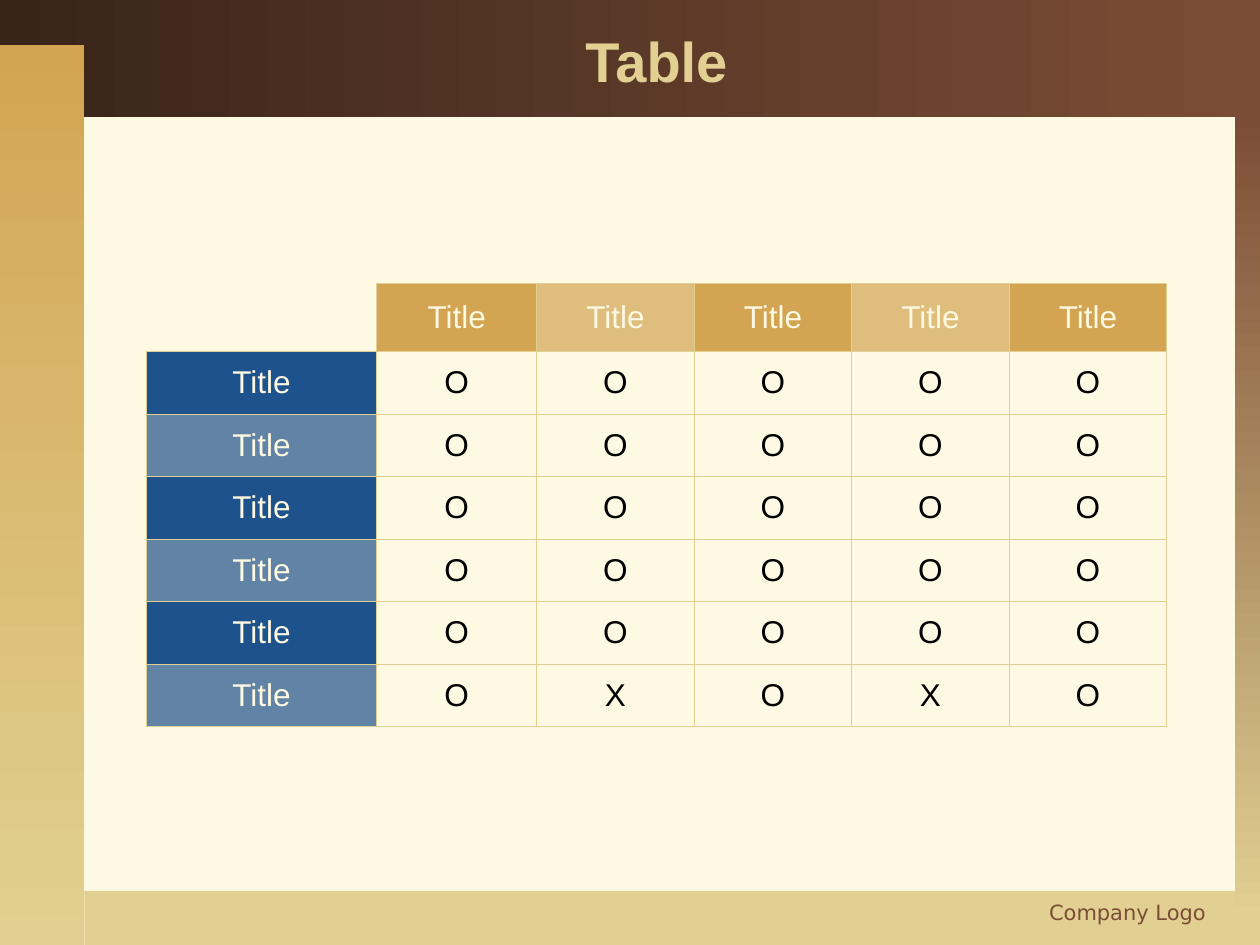
from dataclasses import dataclass

from lxml import etree
from pptx import Presentation
from pptx.dml.color import RGBColor
from pptx.enum.shapes import MSO_SHAPE
from pptx.enum.text import MSO_ANCHOR, PP_ALIGN
from pptx.oxml import parse_xml
from pptx.oxml.ns import nsdecls, qn
from pptx.util import Inches, Pt

RECTANGLE = MSO_SHAPE.RECTANGLE
MIDDLE = MSO_ANCHOR.MIDDLE
CENTER, RIGHT = PP_ALIGN.CENTER, PP_ALIGN.RIGHT


@dataclass(frozen=True)
class Theme:
    cream: str = "FEF9E2"
    sand: str = "E1D091"
    gold: str = "D3A553"
    blue: str = "1D528D"
    brown: str = "7C4D36"
    dark_brown: str = "392419"
    black: str = "000000"
    font: str = "Arial"
    footer_font: str = "DejaVu Sans"
    title_size: int = 32
    cell_size: int = 18
    footer_size: int = 12
    border_width: float = 0.45
    tint_percent: int = 70


theme = Theme()


def write(frame, text, size, color, font, align, bold=False):
    """Put one formatted run into the first paragraph of a text frame."""
    para = frame.paragraphs[0]
    para.alignment = align
    span = para.add_run()
    span.text = text
    span.font.size = Pt(size)
    span.font.name = font
    span.font.bold = bold
    span.font.color.rgb = RGBColor.from_string(color)
    return span


def add_borders(cell, visible_sides):
    """Draw the given sides of a cell and hide the others."""
    properties = cell._tc.get_or_add_tcPr()
    for position, side in enumerate("LRTB"):
        paint = "<a:noFill/>"
        if side in visible_sides:
            paint = f'<a:solidFill><a:srgbClr val="{theme.sand}"/></a:solidFill>'
        line = parse_xml(
            f'<a:ln{side} {nsdecls("a")} w="{Pt(theme.border_width)}">{paint}</a:ln{side}>'
        )
        properties.insert(position, line)


deck = Presentation()
deck.slide_width, deck.slide_height = Inches(10), Inches(7.5)
page = deck.slides.add_slide(deck.slide_layouts[5])
page.background.fill.solid()
page.background.fill.fore_color.rgb = RGBColor.from_string(theme.cream)

# Frame bands: left, top, width, height, start colour, end colour, angle
bands = [
    (0.67, 7.07, 9.33, 0.43, theme.sand, theme.sand, 0),
    (0, 0, 10, 0.93, theme.dark_brown, theme.brown, 0),
    (0, 0.36, 0.67, 7.14, theme.gold, theme.sand, 270),
    (9.8, 0.91, 0.2, 6.38, theme.brown, theme.sand, 270),
]
for left, top, width, height, start, end, angle in bands:
    band = page.shapes.add_shape(
        RECTANGLE, Inches(left), Inches(top), Inches(width), Inches(height)
    )
    band.shadow.inherit = False
    band.line.fill.background()
    if start == end:
        band.fill.solid()
        band.fill.fore_color.rgb = RGBColor.from_string(start)
    else:
        band.fill.gradient()
        band.fill.gradient_angle = angle
        for stop, color in zip(band.fill.gradient_stops, (start, end)):
            stop.color.rgb = RGBColor.from_string(color)

# Title, raised above the bands
title = page.shapes.title
title.element.getparent().append(title.element)
title.left, title.top = Inches(0.67), Inches(0.17)
title.width, title.height = Inches(9.08), Inches(0.62)
title.text_frame.vertical_anchor = MIDDLE
write(title.text_frame, "Table", theme.title_size, theme.sand, theme.font, CENTER, bold=True)

# Table contents and grid
rows = [["", *["Title"] * 5]]
rows += [["Title", *"OOOOO"] for _ in range(5)]
rows += [["Title", *"OXOXO"]]
column_widths = [1.83, 1.27] + [1.25] * 4
row_heights = [0.54] + [2.98 / 6] * 6

table = page.shapes.add_table(
    len(rows), len(column_widths), Inches(1.16), Inches(2.25),
    Inches(sum(column_widths)), Inches(sum(row_heights)),
).table
table.first_row = False
table.horz_banding = False
for column, width in zip(table.columns, column_widths):
    column.width = Inches(width)
for row, height in zip(table.rows, row_heights):
    row.height = Inches(height)

for r, texts in enumerate(rows):
    for c, text in enumerate(texts):
        cell = table.cell(r, c)
        if not text:
            cell.fill.background()
            add_borders(cell, "RB")
            continue

        # Headings alternate between full and tinted colour
        is_heading = r == 0 or c == 0
        fill_color = theme.gold if r == 0 else theme.blue if c == 0 else theme.cream
        cell.fill.solid()
        cell.fill.fore_color.rgb = RGBColor.from_string(fill_color)
        if is_heading and (r + c) % 2 == 0:
            shade = cell._tc.tcPr.find(f".//{qn('a:srgbClr')}")
            etree.SubElement(shade, qn("a:alpha"), val=str(theme.tint_percent * 1000))
        add_borders(cell, "LRTB")

        cell.vertical_anchor = MIDDLE
        text_color = theme.cream if is_heading else theme.black
        write(cell.text_frame, text, theme.cell_size, text_color, theme.font, CENTER)

# Footer with a text shadow
footer = page.shapes.add_textbox(Inches(6.5), Inches(7.09), Inches(3.17), Inches(0.33))
footer.text_frame.word_wrap = True
span = write(
    footer.text_frame, "Company Logo", theme.footer_size, theme.brown, theme.footer_font, RIGHT
)
shadow = parse_xml(
    f'<a:effectLst {nsdecls("a")}><a:outerShdw dist="17961" dir="2700000">'
    f'<a:srgbClr val="{theme.black}"/></a:outerShdw></a:effectLst>'
)
span.font._element.find(qn("a:solidFill")).addnext(shadow)

deck.save("out.pptx")
